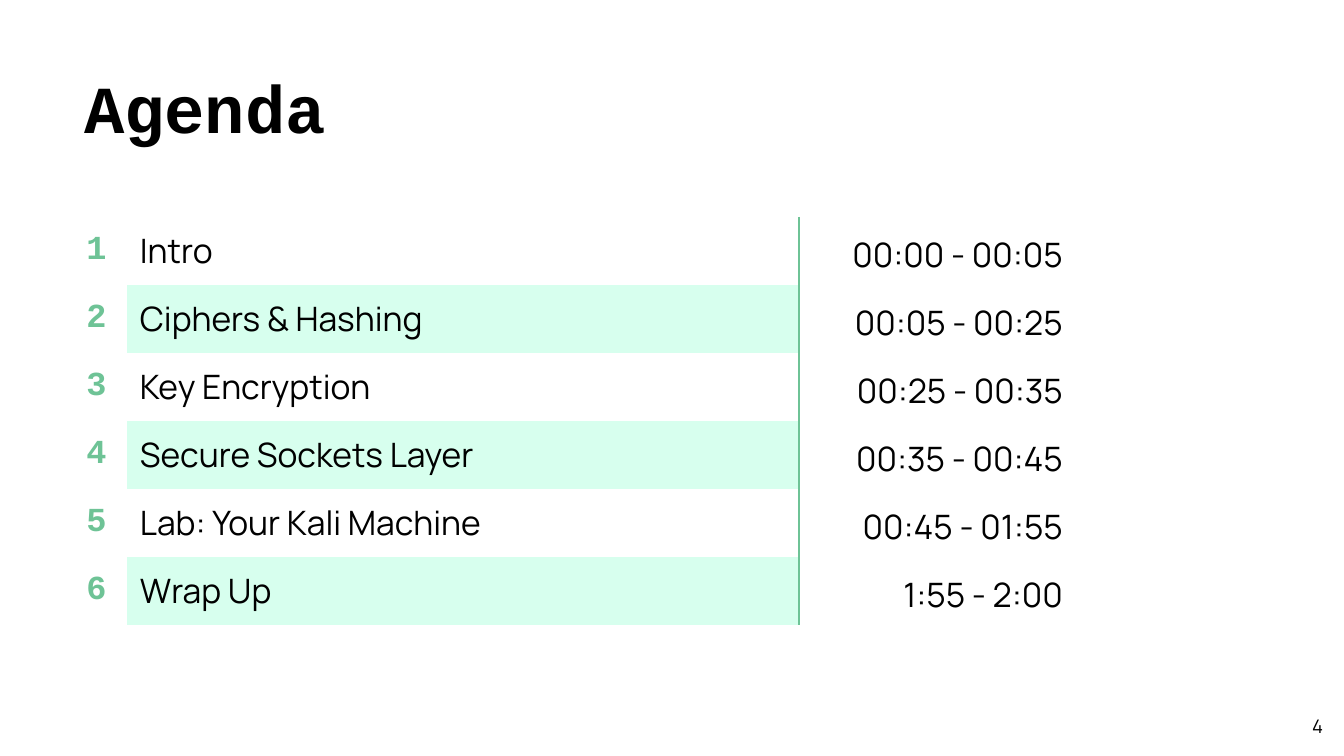
from lxml.etree import SubElement
from pptx import Presentation
from pptx.dml.color import RGBColor
from pptx.enum.text import MSO_ANCHOR, PP_ALIGN
from pptx.oxml.ns import qn
from pptx.util import Emu, Pt

COLORS = {"text": "000000", "accent": "6EC396", "band": "D7FFEE", "bg": "FFFFFF"}
HEAD_FONT, BODY_FONT = "Courier New", "Manrope"
NO_STYLE = "{2D5ABB26-0587-4C30-8999-92F81FD0307C}"
COLUMNS = (61, 672, 277)
ROW_HEIGHT = 68
AGENDA = [
    ("Intro", "00:00 - 00:05"),
    ("Ciphers & Hashing", "00:05 - 00:25"),
    ("Key Encryption", "00:25 - 00:35"),
    ("Secure Sockets Layer", "00:35 - 00:45"),
    ("Lab: Your Kali Machine", "00:45 - 01:55"),
    ("Wrap Up", "1:55 - 2:00"),
]


def px(n):
    return Emu(round(n * 914400 / 134.4))


def rgb(name):
    return RGBColor.from_string(COLORS[name])


def write(tf, text, size=18, font=BODY_FONT, color="text", bold=False,
          align=PP_ALIGN.LEFT, spacing=1.0):
    p = tf.paragraphs[0]
    p.alignment = align
    p.line_spacing = spacing
    r = p.add_run()
    r.text = text
    r.font.size = Pt(size)
    r.font.name = font
    r.font.bold = bold
    r.font.color.rgb = rgb(color)


def set_margins(obj, left, top, right, bottom):
    obj.margin_left, obj.margin_top = px(left), px(top)
    obj.margin_right, obj.margin_bottom = px(right), px(bottom)


def add_title(s, text):
    sp = s.shapes.title
    sp.left, sp.top, sp.width, sp.height = px(81), px(51), px(1211), px(97)
    tf = sp.text_frame
    tf.vertical_anchor = MSO_ANCHOR.TOP
    set_margins(tf, 3, 15, 3, 3)
    write(tf, text, size=36, font=HEAD_FONT, bold=True)


def add_page_number(s, text):
    tf = s.shapes.add_textbox(px(1255), px(704), px(81), px(44)).text_frame
    tf.word_wrap = True
    tf.vertical_anchor = MSO_ANCHOR.MIDDLE
    set_margins(tf, 13, 13, 13, 13)
    write(tf, text, size=10, align=PP_ALIGN.RIGHT)


def set_border(cell, side):
    tc_pr = cell._tc.get_or_add_tcPr()
    ln = SubElement(tc_pr, qn("a:" + side), w=str(Pt(1.5)))
    fill = SubElement(ln, qn("a:solidFill"))
    SubElement(fill, qn("a:srgbClr"), val=COLORS["accent"])
    tc_pr.insert(0, ln)


def fill_cell(cell, text, band=False, border=None, **fmt):
    cell.vertical_anchor = MSO_ANCHOR.MIDDLE
    set_margins(cell, 13, 0, 13, 0)
    if band:
        cell.fill.solid()
        cell.fill.fore_color.rgb = rgb("band")
    else:
        cell.fill.background()
    if border:
        set_border(cell, border)
    write(cell.text_frame, text, **fmt)


def add_agenda(s):
    table = s.shapes.add_table(len(AGENDA), len(COLUMNS), px(66), px(217),
                               px(sum(COLUMNS)), px(ROW_HEIGHT * len(AGENDA))).table
    table.first_row = table.horz_banding = False
    table._tbl.tblPr.find(qn("a:tableStyleId")).text = NO_STYLE
    for column, width in zip(table.columns, COLUMNS):
        column.width = px(width)
    for i, (topic, time) in enumerate(AGENDA):
        table.rows[i].height = px(ROW_HEIGHT)
        fill_cell(table.cell(i, 0), str(i + 1), font=HEAD_FONT, color="accent",
                  bold=True, align=PP_ALIGN.CENTER)
        fill_cell(table.cell(i, 1), topic, band=i % 2 == 1, border="lnR")
        fill_cell(table.cell(i, 2), time, border="lnL", align=PP_ALIGN.RIGHT,
                  spacing=1.15)


def main():
    prs = Presentation()
    prs.slide_width, prs.slide_height = px(1344), px(756)
    s = prs.slides.add_slide(prs.slide_layouts[5])
    s.background.fill.solid()
    s.background.fill.fore_color.rgb = rgb("bg")
    add_title(s, "Agenda")
    add_page_number(s, "4")
    add_agenda(s)
    prs.save("out.pptx")


if __name__ == "__main__":
    main()
